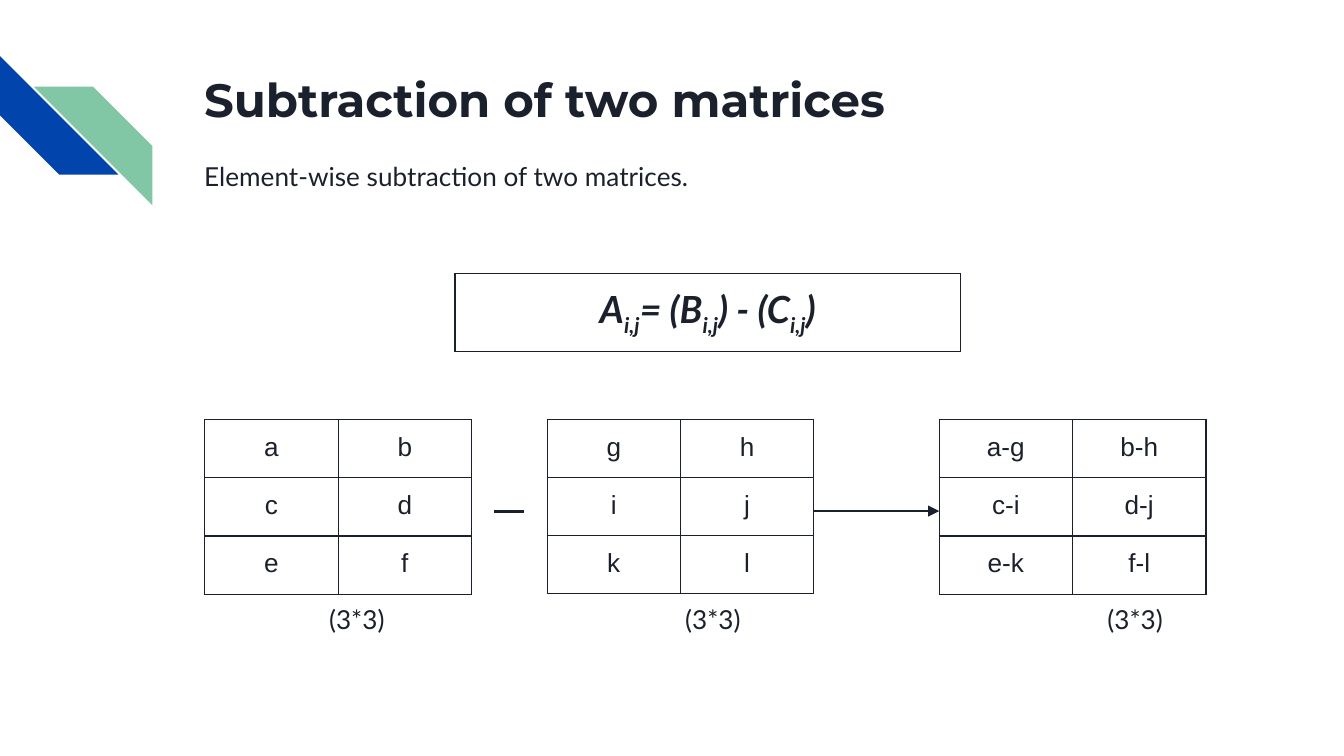
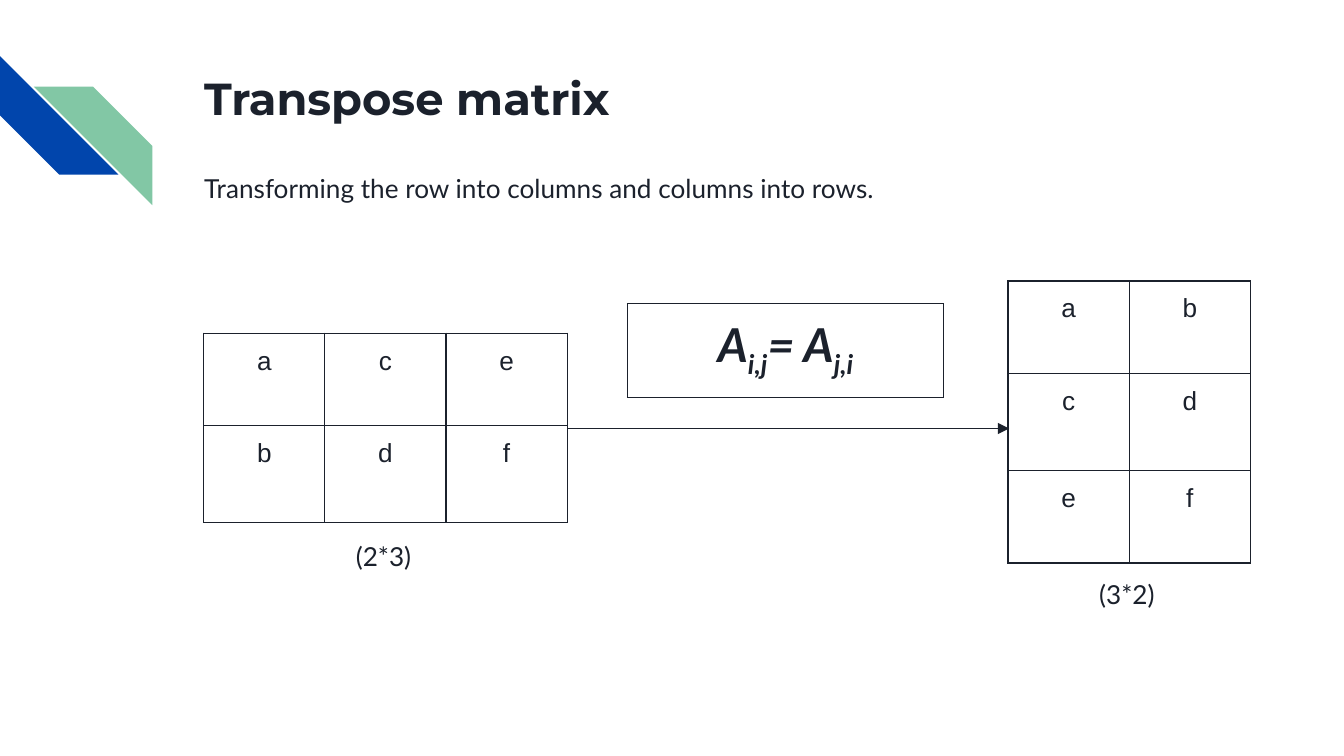
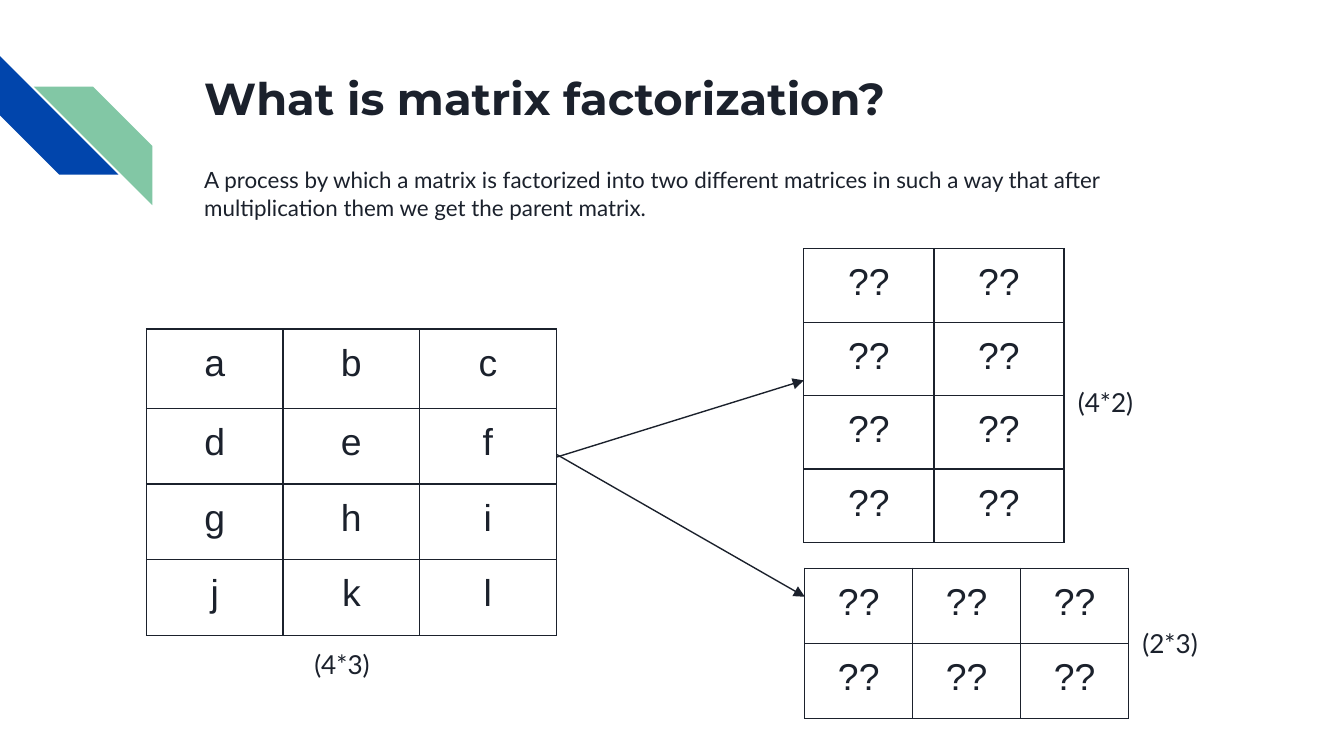
from lxml import etree
from pptx import Presentation
from pptx import util as u
from pptx.dml.color import RGBColor
from pptx.enum import shapes, text
from pptx.oxml.ns import qn

INK = RGBColor(0x1B, 0x21, 0x2C)
BLUE = RGBColor(0x01, 0x45, 0xAC)
GREEN = RGBColor(0x82, 0xC7, 0xA5)
WHITE = RGBColor(0xFF, 0xFF, 0xFF)
TITLE_FONT, BODY_FONT, CELL_FONT = "Montserrat", "Lato", "Arial"
THIN = u.Pt(0.75)
INSET = u.Cm(0.25)
LEFT = 3.61
CENTER = text.PP_ALIGN.CENTER


class Deck:
    def __init__(self):
        self.prs = Presentation()
        self.prs.slide_width = u.Cm(25.4)
        self.prs.slide_height = u.Cm(14.29)
        self.slide = None

    def new_slide(self, title, size=24):
        self.slide = self.prs.slides.add_slide(self.prs.slide_layouts[6])
        stripe = shapes.MSO_SHAPE.DIAGONAL_STRIPE
        self.shape(stripe, 0, 1.06, 2.24, 2.24, BLUE, 0.5).rotation = 270
        sp = self.shape(stripe, 0.64, 1.64, 2.24, 2.24, GREEN, 0.5)
        sp._element.spPr.find(qn("a:xfrm")).set("flipH", "1")
        self.text(title, LEFT, 1.09, 19.56, 2.54, size, TITLE_FONT, bold=True)

    def shape(self, kind, x, y, w, h, fill, adj, line=None):
        sp = self.slide.shapes.add_shape(kind, u.Cm(x), u.Cm(y), u.Cm(w), u.Cm(h))
        sp.adjustments[0] = adj
        sp.shadow.inherit = False
        sp.fill.solid()
        sp.fill.fore_color.rgb = fill
        if line is None:
            sp.line.fill.background()
        else:
            sp.line.color.rgb = line
            sp.line.width = THIN
        return sp

    def run(self, p, content, size, font, bold=False, italic=False):
        r = p.add_run()
        r.text = content
        r.font.size = u.Pt(size)
        r.font.name = font
        r.font.bold = bold
        r.font.italic = italic
        r.font.color.rgb = INK
        return r

    def text(self, content, x, y, w, h=1.12, size=14, font=BODY_FONT, bold=False, align=None):
        sp = self.slide.shapes.add_textbox(u.Cm(x), u.Cm(y), u.Cm(w), u.Cm(h))
        tf = sp.text_frame
        tf.word_wrap = True
        tf.margin_left = tf.margin_right = tf.margin_top = tf.margin_bottom = INSET
        p = tf.paragraphs[0]
        p.alignment = align
        self.run(p, content, size, font, bold)
        return p

    def table(self, x, y, col, heights):
        rows, cols = len(heights), col[1]
        frame = self.slide.shapes.add_table(
            rows, cols, u.Cm(x), u.Cm(y), u.Cm(col[0] * cols), u.Cm(sum(heights)))
        table = frame.table
        table.first_row = table.horz_banding = False
        for column in table.columns:
            column.width = u.Cm(col[0])
        for row, height in zip(table.rows, heights):
            row.height = u.Cm(height)
        for cell in table.iter_cells():
            cell.margin_left = cell.margin_right = INSET
            cell.margin_top = cell.margin_bottom = INSET
            cell.text_frame.paragraphs[0].alignment = CENTER
            self.borders(cell)
            cell.fill.background()
        return table

    def borders(self, cell):
        props = cell._tc.get_or_add_tcPr()
        for side in ("a:lnL", "a:lnR", "a:lnT", "a:lnB"):
            ln = etree.SubElement(props, qn(side), w=str(int(THIN)))
            fill = etree.SubElement(ln, qn("a:solidFill"))
            etree.SubElement(fill, qn("a:srgbClr"), val=str(INK))

    def matrix(self, rows, x, y, col_width, heights, size=14):
        values = [row.split() for row in rows]
        table = self.table(x, y, (col_width, len(values[0])), heights)
        for cell, value in zip(table.iter_cells(), sum(values, [])):
            self.run(cell.text_frame.paragraphs[0], value, size, CELL_FONT)

    def formula(self, parts, x, y, w, h, size):
        p = self.table(x, y, (w, 1), [h]).cell(0, 0).text_frame.paragraphs[0]
        for i, part in enumerate(parts):
            r = self.run(p, part, size, BODY_FONT, True, True)
            if i % 2:
                r.font._element.set("baseline", "-25000")

    def arrow(self, x1, y1, x2, y2):
        line = self.slide.shapes.add_connector(
            shapes.MSO_CONNECTOR.STRAIGHT, u.Cm(x1), u.Cm(y1), u.Cm(x2), u.Cm(y2))
        line.line.color.rgb = INK
        line.line.width = THIN
        etree.SubElement(line.line._get_or_add_ln(), qn("a:tailEnd"), type="triangle")
        etree.SubElement(line._element.spPr, qn("a:effectLst"))


deck = Deck()

deck.new_slide("Subtraction of two matrices", 25)
deck.text("Element-wise subtraction of two matrices.", LEFT, 2.79, 16.64)
deck.formula(["A", "i,j", "= (B", "i,j", ") - (C", "i,j", ")"], 8.6, 5.17, 9.55, 1.48, 20)
for rows, x, height, label_x in (
    (["a b", "c d", "e f"], 3.87, 1.1, 5.97),
    (["g h", "i j", "k l"], 10.34, 1.06, 12.7),
    (["a-g b-h", "c-i d-j", "e-k f-l"], 17.75, 1.1, 20.68),
):
    deck.matrix(rows, x, 7.93, 2.52, [height] * 3)
    deck.text("(3*3)", label_x, 11.15, 2.01)
deck.shape(shapes.MSO_SHAPE.MATH_MINUS, 9.22, 9.5, 0.81, 0.33, INK, 0.235, WHITE)
deck.arrow(15.39, 9.66, 17.75, 9.66)

deck.new_slide("Transpose matrix")
deck.text("Transforming the row into columns and columns into rows.", LEFT, 3, 16.64)
deck.matrix(["a c e", "b d f"], 3.85, 6.3, 2.29, [1.75, 1.83])
deck.text("(2*3)", 5.89, 9.96, 2.72, align=CENTER)
deck.matrix(["a b", "c d", "e f"], 19.05, 5.31, 2.29, [1.75, 1.83, 1.75])
deck.text("(3*2)", 19.94, 10.69, 2.72, align=CENTER)
deck.arrow(10.72, 8.1, 19.07, 8.1)
deck.formula(["A", "i,j", "= A", "j,i"], 11.86, 5.74, 5.97, 1.78, 25)

deck.new_slide("What is matrix factorization?")
p = deck.text(
    "A process by which a matrix is factorized into two different matrices in such a way "
    "that after multiplication them we get the parent matrix.", LEFT, 2.87, 19.56, 2.03, 12)
p.line_spacing = 1.05
p.space_after = u.Pt(12)
deck.matrix(["a b c", "d e f", "g h i", "j k l"], 2.77, 6.22, 2.58, [1.5] + [1.43] * 3, 20)
deck.text("(4*3)", 5.69, 12.01, 1.88)
deck.matrix(["?? ??"] * 4, 15.19, 4.7, 2.46, [1.39] * 4, 20)
deck.text("(4*2)", 20.12, 7.06, 2.03)
deck.matrix(["?? ?? ??"] * 2, 15.21, 10.74, 2.04, [1.42] * 2, 20)
deck.text("(2*3)", 21.34, 11.61, 2.03)
deck.arrow(10.52, 8.64, 15.19, 7.19)
deck.arrow(10.52, 8.59, 15.21, 11.28)

deck.prs.save("out.pptx")
